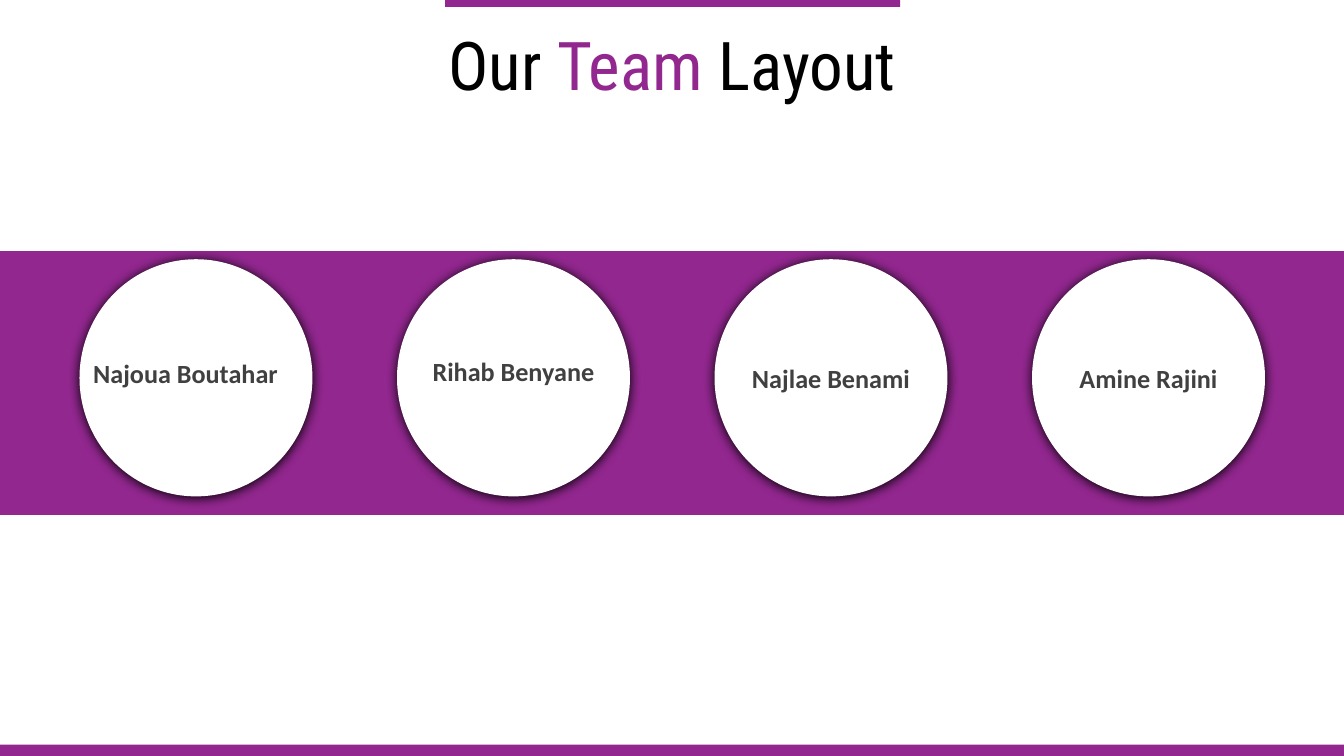
from lxml.etree import SubElement
from pptx import Presentation
from pptx.dml.color import RGBColor
from pptx.enum.shapes import MSO_SHAPE
from pptx.enum.text import MSO_ANCHOR, PP_ALIGN
from pptx.oxml.ns import qn
from pptx.util import Pt

PURPLE, WHITE, BLACK, GREY = "92278F", "FFFFFF", "000000", "404040"
WIDTH, HEIGHT = 960, 540
TITLE = [("Our ", BLACK), ("Team", PURPLE), (" Layout", BLACK)]
TITLE_BOX = (0, 18.7, WIDTH, 60.5)
TITLE_FORMAT = {"name": "Roboto Condensed", "size": Pt(48), "bold": False}
NAME_FORMAT = {"name": "Calibri", "size": Pt(18.7), "bold": True}
BANDS = [
    (0, 179.3, WIDTH, 188.6),
    (318, 0, 325, 5),
    (0, 531.8, WIDTH, 8.2),
]
MEMBERS = [
    ("Najoua Boutahar", 253.4, -15),
    ("Rihab Benyane", 252, 0),
    ("Najlae Benami", 257, 0),
    ("Amine Rajini", 257, 0),
]
CIRCLE_LEFT, CIRCLE_TOP, CIRCLE_PITCH = 56.8, 185.2, 226.8
CIRCLE_WIDTH, CIRCLE_HEIGHT = 166.4, 169.4
NAME_HEIGHT = 26
SHADOW = {"blurRad": Pt(8.5), "dist": Pt(1), "dir": 90 * 60000,
          "algn": "ctr", "rotWithShape": 0}


def color(hex_value):
    """Turn a hex string into a colour."""
    return RGBColor.from_string(hex_value)


def add_filled(slide, preset, box, fill):
    """Add a plain shape without outline or shadow."""
    shape = slide.shapes.add_shape(preset, *map(Pt, box))
    shape.fill.solid()
    shape.fill.fore_color.rgb = color(fill)
    shape.line.fill.background()
    shape.shadow.inherit = False
    return shape


def add_shadow(shape):
    """Give a shape a soft black shadow."""
    effects = shape._element.spPr.find(qn("a:effectLst"))
    outer = SubElement(effects, qn("a:outerShdw"))
    for key, value in SHADOW.items():
        outer.set(key, str(value))
    SubElement(outer, qn("a:srgbClr")).set("val", BLACK)


def add_text(slide, box, runs, font_format, line_spacing=1.0):
    """Add one centred line made of coloured runs."""
    frame = slide.shapes.add_textbox(*map(Pt, box)).text_frame
    frame_format = {"word_wrap": True, "vertical_anchor": MSO_ANCHOR.MIDDLE,
                    "margin_left": 0, "margin_right": 0,
                    "margin_top": 0, "margin_bottom": 0}
    for key, value in frame_format.items():
        setattr(frame, key, value)
    line = frame.paragraphs[0]
    line.alignment = PP_ALIGN.CENTER
    line.line_spacing = line_spacing
    for words, hex_value in runs:
        run = line.add_run()
        run.text = words
        for key, value in font_format.items():
            setattr(run.font, key, value)
        run.font.color.rgb = color(hex_value)


def main():
    """Build the team slide."""
    deck = Presentation()
    deck.slide_width, deck.slide_height = Pt(WIDTH), Pt(HEIGHT)
    slide = deck.slides.add_slide(deck.slide_layouts[6])
    for band in BANDS:
        add_filled(slide, MSO_SHAPE.RECTANGLE, band, PURPLE)
    add_text(slide, TITLE_BOX, TITLE, TITLE_FORMAT, 0.9)
    for index, (member, name_top, widen) in enumerate(MEMBERS):
        left = CIRCLE_LEFT + index * CIRCLE_PITCH
        circle = (left, CIRCLE_TOP, CIRCLE_WIDTH, CIRCLE_HEIGHT)
        add_shadow(add_filled(slide, MSO_SHAPE.FLOWCHART_CONNECTOR, circle, WHITE))
        name_box = (left + widen, name_top, CIRCLE_WIDTH - widen, NAME_HEIGHT)
        add_text(slide, name_box, [(member, GREY)], NAME_FORMAT)
    deck.save("out.pptx")


if __name__ == "__main__":
    main()
